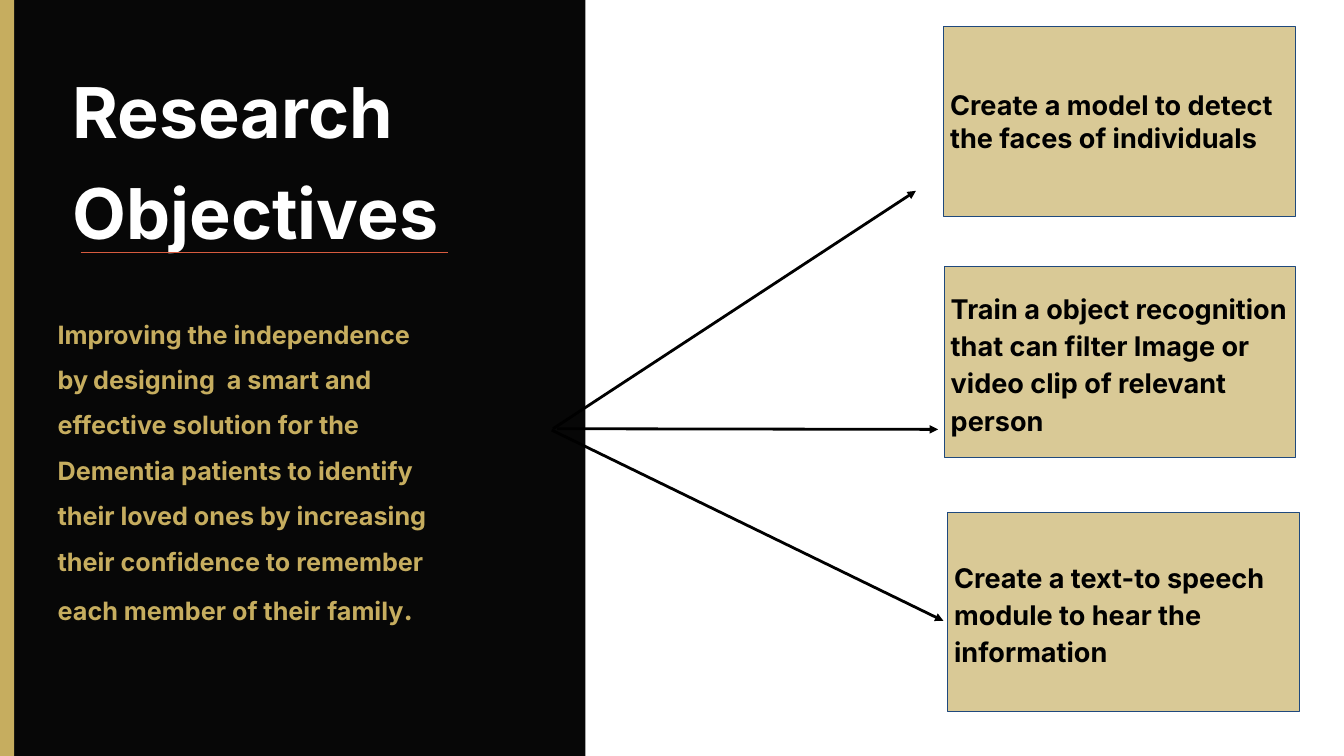
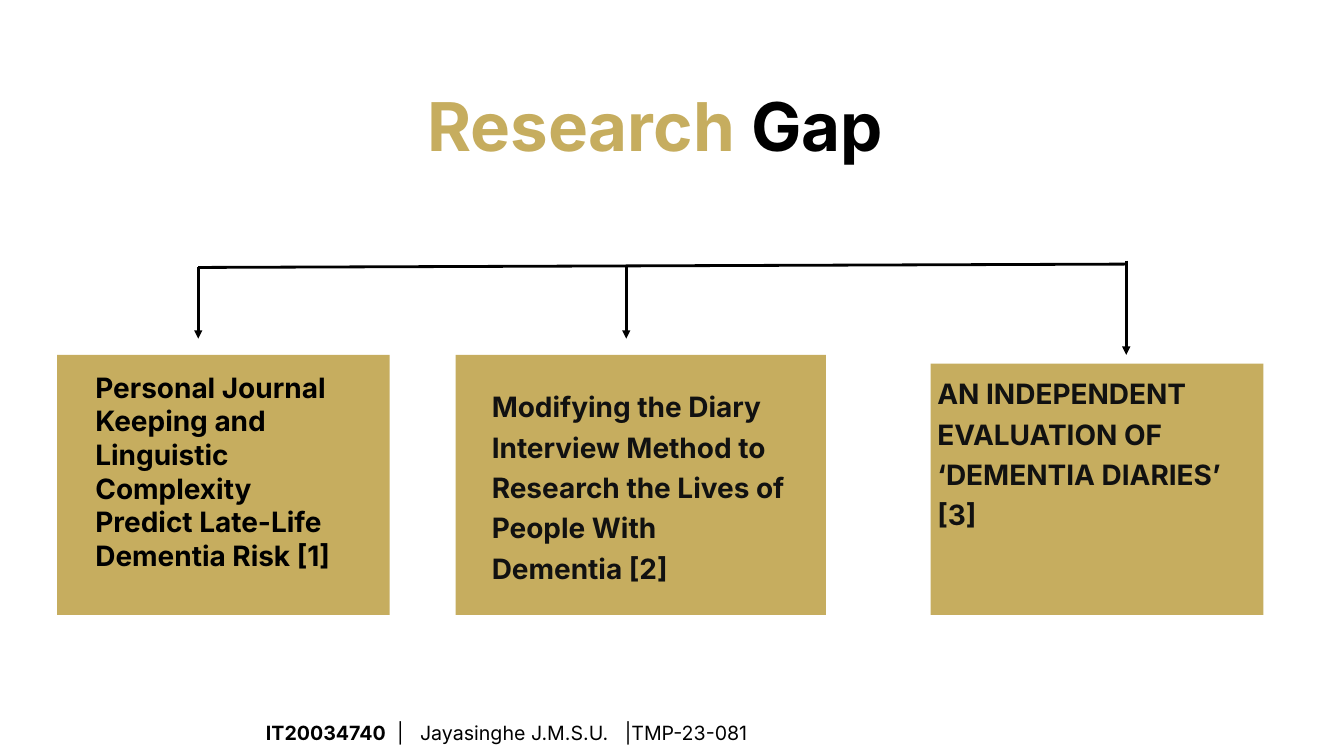
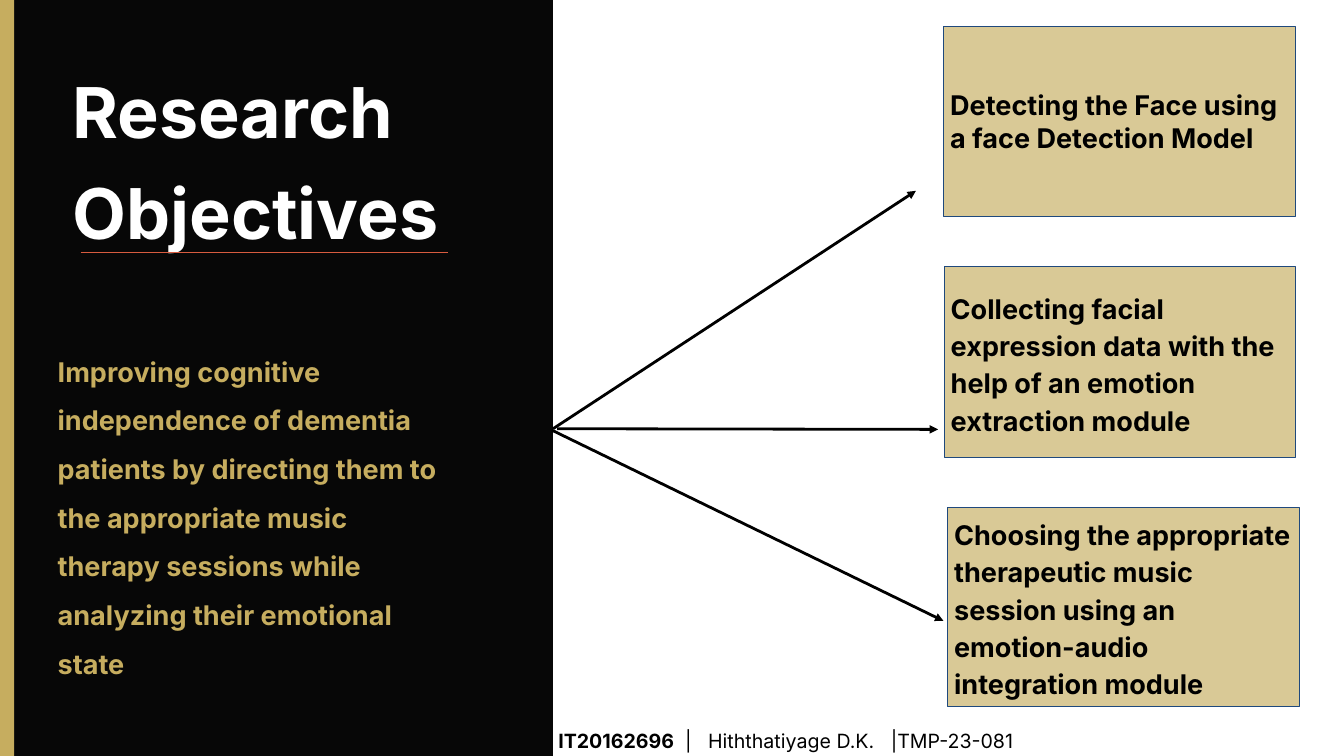
import dataclasses
import pptx
import pptx.util
import pptx.dml.color
import pptx.enum.shapes
import pptx.enum.text
import pptx.oxml
import pptx.oxml.ns


@dataclasses.dataclass(frozen=True)
class Theme:
    font: str = "Inter"
    gold: str = "C6AD5F"
    dark: str = "070707"
    ink: str = "111111"
    black: str = "000000"
    white: str = "FFFFFF"
    blue: str = "1F497D"
    red: str = "D75B3F"
    head: int = 75
    title: int = 72
    card: int = 30
    goal: int = 29
    foot: int = 21
    thick: float = 3
    thin: float = 0.75
    tint: int = 65
    pad: float = 0.1


THEME = Theme()
COLS, ROWS = 20, 11.25
CELL = pptx.util.Inches(1)
HUB = [((8.23, 6.38), (13.63, 2.84)),
       ((8.29, 6.38), (13.96, 6.39)),
       ((8.21, 6.4), (14.04, 9.24))]


def grid(*cells):
    return [round(cell * CELL) for cell in cells]


def tone(code):
    return pptx.dml.color.RGBColor.from_string(code)


def style(run, size, color, bold=True):
    run.font.name = THEME.font
    run.font.size = pptx.util.Pt(size)
    run.font.bold = bold
    run.font.color.rgb = tone(color)


def write(frame, parts, lead=None, above=None, below=None, pad=THEME.pad, inset=0):
    frame.word_wrap = True
    frame.margin_left, frame.margin_top, frame.margin_right, frame.margin_bottom = grid(
        pad, pad, pad + inset, pad)
    para = frame.paragraphs[0]
    para.alignment = pptx.enum.text.PP_ALIGN.LEFT
    para.line_spacing = lead
    if above:
        para.space_before = pptx.util.Pt(above)
    if below:
        para.space_after = pptx.util.Pt(below)
    for words, *look in parts:
        run = para.add_run()
        run.text = words
        style(run, *look)


def label(slide, place, parts, **rules):
    frame = slide.shapes.add_textbox(*grid(*place)).text_frame
    write(frame, parts, **rules)
    frame.auto_size = pptx.enum.text.MSO_AUTO_SIZE.SHAPE_TO_FIT_TEXT


def block(slide, place, color):
    shape = slide.shapes.add_shape(pptx.enum.shapes.MSO_SHAPE.RECTANGLE, *grid(*place))
    shape.shadow.inherit = False
    shape.fill.solid()
    shape.fill.fore_color.rgb = tone(color)
    shape.line.fill.background()
    return shape


def child(parent, tag, **attrs):
    node = pptx.oxml.parse_xml(f"<a:{tag} {pptx.oxml.ns.nsdecls('a')}/>")
    for name, value in attrs.items():
        node.set(name, value)
    parent.append(node)


def rule(slide, start, end, color=THEME.black, width=THEME.thick, arrow=False):
    line = slide.shapes.add_connector(
        pptx.enum.shapes.MSO_CONNECTOR.STRAIGHT, *grid(*start, *end))
    line.line.color.rgb = tone(color)
    line.line.width = pptx.util.Pt(width)
    if arrow:
        child(line.line._get_or_add_ln(), "tailEnd", type="triangle")
    child(line._element.spPr, "effectLst")


def goal(slide, place, words, **rules):
    box = block(slide, place, THEME.gold)
    fill = box._element.spPr.find(pptx.oxml.ns.qn("a:solidFill"))
    child(fill[0], "alpha", val=str(THEME.tint * 1000))
    box.line.color.rgb = tone(THEME.blue)
    box.line.width = pptx.util.Pt(THEME.thin)
    box.text_frame.vertical_anchor = pptx.enum.text.MSO_ANCHOR.MIDDLE
    write(box.text_frame, [(words, THEME.goal, THEME.black)], **rules)


def foot(slide, place, code, rest):
    label(slide, place, [(code, THEME.foot, THEME.black),
                         (rest, THEME.foot, THEME.black, False)], lead=1.15)


def aims(slide, edge, top, tall, pitch, goals, last):
    block(slide, (0.1, 0, edge - 0.1, ROWS), THEME.dark)
    block(slide, (0, 0, 0.21, ROWS), THEME.gold)
    label(slide, (1.08, 0.77, 6.19, 2.78),
          [("Research Objectives", THEME.head, THEME.white)], lead=1.2, pad=0)
    label(slide, (0.76, top, 6.81, tall),
          [(words, size, THEME.gold) for words, size in pitch],
          lead=1.5, above=3, below=8, inset=0.87)
    for start, end in HUB:
        rule(slide, start, end, arrow=True)
    first, second, third = goals
    goal(slide, (14.04, 0.39, 5.23, 2.83), first)
    goal(slide, (14.05, 3.97, 5.23, 2.83), second, lead=1.15, above=8)
    goal(slide, (14.1, last, 5.23, 2.96), third, lead=1.15, above=8)
    rule(slide, (1.2, 3.76), (6.67, 3.76), THEME.red, THEME.thin)


def gaps(slide):
    label(slide, (6.36, 1.02, 9.24, 1.21),
          [("Research ", THEME.title, THEME.gold), ("Gap", THEME.title, THEME.black)],
          lead=1.2, pad=0)
    rule(slide, (2.95, 3.98), (16.76, 3.93))
    for x, top, end in [(2.95, 3.98, 5.04), (9.32, 3.98, 5.04), (16.76, 3.88, 5.28)]:
        rule(slide, (x, top), (x, end), arrow=True)
    base = 9.15
    cards = [
        (0.85, 5.28, 4.95, (1.32, 5.41, 3.89, 3.23), THEME.black, None,
         "Personal Journal Keeping and Linguistic Complexity Predict Late-Life Dementia Risk [1]"),
        (6.78, 5.28, 5.51, (7.22, 5.6, 4.64, 3.13), THEME.ink, 1.2,
         "Modifying the Diary Interview Method to Research the Lives of People With Dementia [2]"),
        (13.85, 5.41, 4.95, (13.85, 5.41, 4.95, 2.52), THEME.ink, 1.2,
         "AN INDEPENDENT EVALUATION OF ‘DEMENTIA DIARIES’ [3]"),
    ]
    for left, top, wide, place, color, lead, words in cards:
        block(slide, (left, top, wide, base - top), THEME.gold)
        label(slide, place, [(words, THEME.card, color)], lead=lead)
    foot(slide, (3.86, 10.58, 10.28, 0.56),
         "IT20034740", "  |   Jayasinghe J.M.S.U.   |TMP-23-081")


def main():
    deck = pptx.Presentation()
    deck.slide_width, deck.slide_height = grid(COLS, ROWS)
    blank = deck.slide_layouts[6]

    aims(deck.slides.add_slide(blank), 8.71, 4.42, 4.8,
         [("Improving the independence  by", 27), (" ", 22),
          ("designing  a smart and effective solution for the Dementia patients to identify "
           "their loved ones by increasing their confidence to remember each member of their", 27),
          (" ", 30), ("family", 27), (".", 30)],
         ["Create a model to detect the faces of individuals",
          "Train a object recognition that can filter Image or video clip of relevant person",
          "Create a text-to speech module to hear the information"], 7.63)

    gaps(deck.slides.add_slide(blank))

    slide = deck.slides.add_slide(blank)
    aims(slide, 8.23, 4.94, 5.08,
         [("Improving cognitive independence of dementia patients by directing them to the "
           "appropriate music therapy sessions while analyzing their emotional state", 29)],
         ["Detecting the Face using a face Detection Model",
          "Collecting facial expression data with the help of an emotion extraction module",
          "Choosing the appropriate therapeutic music session using an emotion-audio "
          "integration module"], 7.55)
    foot(slide, (8.21, 10.69, 9.16, 0.56),
         "IT20162696", "  |   Hiththatiyage D.K.   |TMP-23-081")

    deck.save("out.pptx")


if __name__ == "__main__":
    main()
